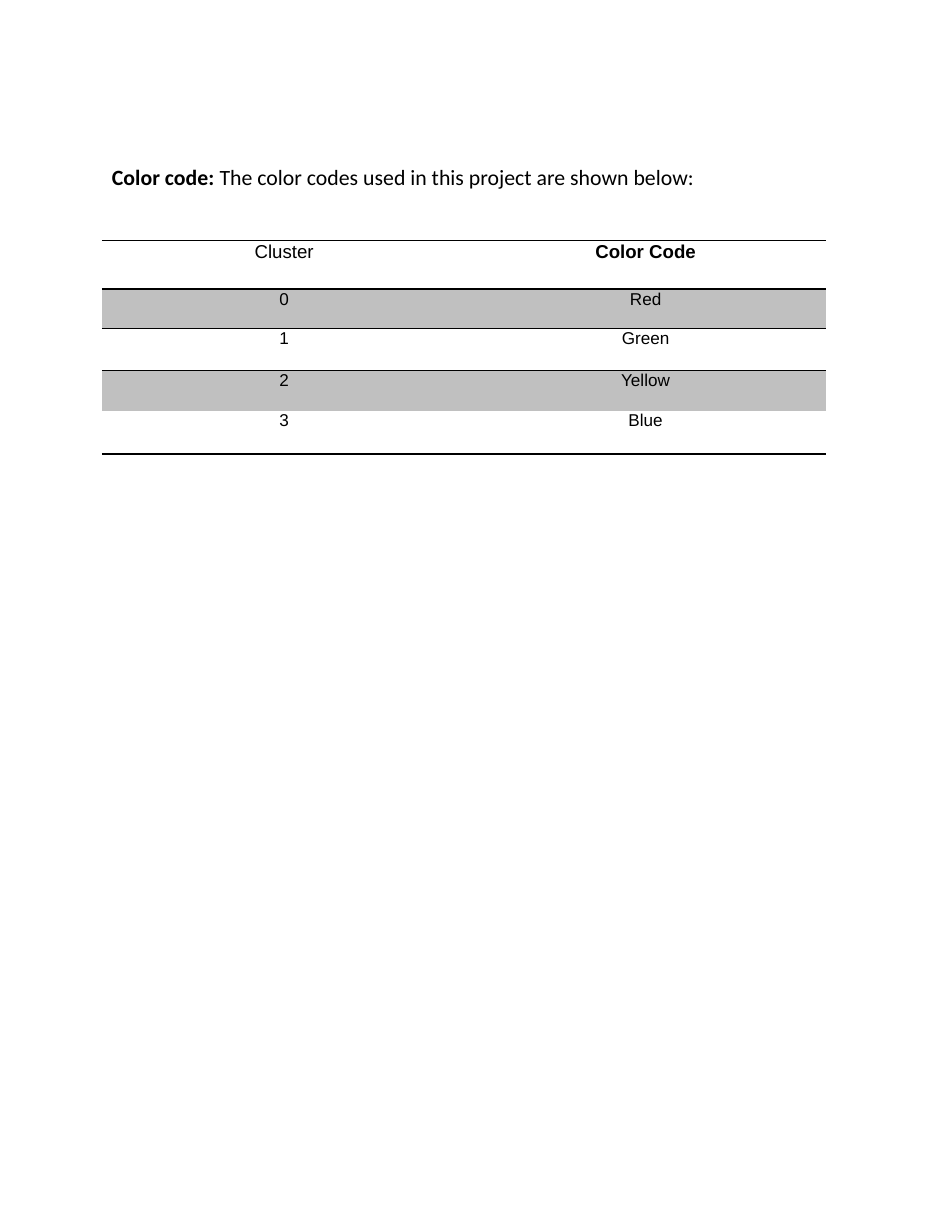
from lxml.etree import fromstring
from pptx import Presentation
from pptx.dml.color import RGBColor
from pptx.enum.text import PP_ALIGN as Align
from pptx.oxml.ns import nsdecls
from pptx.util import Pt


def color(hex_code):
    return RGBColor.from_string(hex_code)


def add_border(cell, side, width):
    cell._tc.get_or_add_tcPr().insert(0, fromstring(
        f'<a:{side} {nsdecls("a")} w="{Pt(width)}"><a:solidFill>'
        f'<a:srgbClr val="000000"/></a:solidFill></a:{side}>'))


prs = Presentation()
prs.slide_width, prs.slide_height = Pt(612), Pt(792)
slide = prs.slides.add_slide(prs.slide_layouts[6])

intro = slide.shapes.add_textbox(Pt(71.3), Pt(104.4), Pt(379), Pt(18.7)).text_frame
intro.word_wrap = True
intro.margin_left = intro.margin_right = intro.margin_bottom = 0
intro.margin_top = Pt(0.9)
sentence = intro.paragraphs[0]
sentence.space_before = Pt(0.9)
sentence._p.get_or_add_pPr().set("marL", str(Pt(0.7)))
sentence.font.name, sentence.font.size = "Calibri", Pt(14)
sentence.font.color.rgb = color("000000")
for words, bold in (("Color code: ", True),
                    ("The color codes used in this project are shown below:", False)):
    run = sentence.add_run()
    run.text, run.font.bold = words, bold

clusters = [("Cluster", "Color Code"), ("0", "Red"), ("1", "Green"),
            ("2", "Yellow"), ("3", "Blue")]
row_heights = [31, 25.7, 27, 25.5, 27.8]
line_heights = [13.8, 13, 12.5, 12.5, 12.5]
rules_above = {0: 0.75, 1: 1.25, 2: 0.75}
rules_below = {0: 1.25, 1: 0.75, 4: 1.25}

codes = slide.shapes.add_table(5, 2, Pt(65.5), Pt(154.8), Pt(465.8), Pt(137)).table
codes.first_row = codes.horz_banding = False
codes._tbl.tblPr.find("{*}tableStyleId").text = "{2D5ABB26-0587-4C30-8999-92F81FD0307C}"
codes.columns[0].width, codes.columns[1].width = Pt(226.8), Pt(239)

for r, entries in enumerate(clusters):
    codes.rows[r].height = Pt(row_heights[r])
    for c, entry in enumerate(entries):
        cell = codes.cell(r, c)
        cell.margin_left = cell.margin_right = cell.margin_top = cell.margin_bottom = 0
        if r % 2:
            cell.fill.solid()
            cell.fill.fore_color.rgb = color("C0C0C0")
        else:
            cell.fill.background()
        if r in rules_below:
            add_border(cell, "lnB", rules_below[r])
        if r in rules_above:
            add_border(cell, "lnT", rules_above[r])
        label = cell.text_frame.paragraphs[0]
        label.text = entry
        label.alignment = Align.CENTER
        label.line_spacing = Pt(line_heights[r])
        label._p.get_or_add_pPr().set("marL", str(Pt(6.5 if c else 7.5)))
        label.font.name, label.font.size = "Arial", Pt(11 if r else 12)
        label.font.bold = r == 0 and c == 1
        label.font.color.rgb = color("000000")

prs.save("out.pptx")
